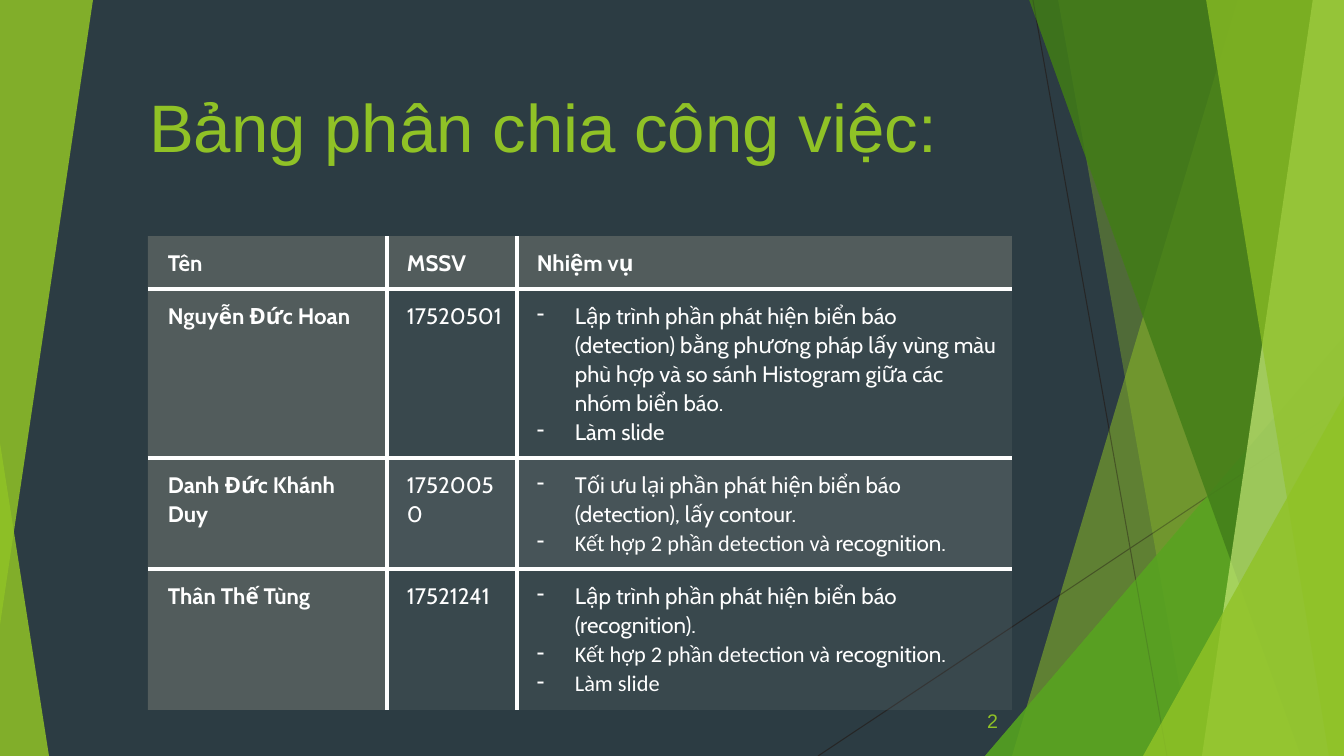
import pptx
import pptx.dml.color
import pptx.enum.shapes
import pptx.enum.text
import pptx.oxml
import pptx.oxml.ns
import pptx.oxml.xmlchemy
import pptx.util
from lxml import etree

EMU_PER_PIXEL = 12192000 / 1344
WIDTH, HEIGHT = 1344, 756
LIME, GREEN, FOREST, PALE = "90C226", "54A021", "3F7819", "C0E474"
WHITE, SLATE, HEADING, BODY, LINE = "FFFFFF", "2C3C43", "636B68", "878E8B", "262626"
ALIGN = pptx.enum.text.PP_ALIGN
ANCHOR = pptx.enum.text.MSO_ANCHOR

# Facets of the right-hand decoration, from back to front
FACETS = [
    ("sheet", (1238, 1012), LIME, 30),
    ("sheet", (1058, 1192), LIME, 20),
    ("triangle", (985, 336, 359, 420), GREEN, 72),
    ("sheet", (1029, 1301), FOREST, 70),
    ("sheet", (1313, 1202), PALE, 70),
    ("sheet", (1206, 1329), LIME, 65),
    ("triangle", (1143, 396, 201, 360), LIME, 80),
]

COMBINE = [("Kết hợp 2 phần detection và ", "Calibri"), ("recognition.", "Cabin")]
HEADERS = ["Tên", "MSSV", "Nhiệm vụ"]
MEMBERS = [
    ("Nguyễn Đức Hoan", "17520501", [
        "Lập trình phần phát hiện biển báo (detection) bằng phương pháp lấy vùng màu "
        "phù hợp và so sánh Histogram giữa các nhóm biển báo.",
        "Làm slide"]),
    ("Danh Đức Khánh Duy", "17520050", [
        "Tối ưu lại phần phát hiện biển báo (detection), lấy contour.",
        COMBINE]),
    ("Thân Thế Tùng", "17521241", [
        "Lập trình phần phát hiện biển báo (recognition).",
        COMBINE,
        [("Làm slide", "Calibri")]]),
]
COLUMN_WIDTHS = [239, 130, 495]
ROW_HEIGHTS = [53, 169, 111, 140]


def px(pixels):
    """Turn pixels into EMU."""
    return pptx.util.Emu(round(pixels * EMU_PER_PIXEL))


def rgb(color):
    """Turn a hex string into a colour."""
    return pptx.dml.color.RGBColor.from_string(color)


def add_element(parent, tag, **attributes):
    """Append a drawing element to the parent."""
    return etree.SubElement(parent, pptx.oxml.ns.qn(tag), **attributes)


def paint(fill, properties, color, opacity):
    """Give a shape or cell a solid fill with an opacity in percent."""
    fill.solid()
    fill.fore_color.rgb = rgb(color)
    solid = properties.find(pptx.oxml.ns.qn("a:solidFill"))
    add_element(solid[0], "a:alpha", val=str(opacity * 1000))


def finish_facet(shape, color, opacity):
    """Format a facet without line or shadow."""
    shape.shadow.inherit = False
    shape.line.fill.background()
    paint(shape.fill, shape._element.spPr, color, opacity)


def add_sheet(shapes, edge, color, opacity):
    """Add a sheet from a slanted left edge to the right slide edge."""
    top, bottom = edge
    builder = shapes.build_freeform(px(top), px(-1))
    corners = [(WIDTH, -1), (WIDTH, HEIGHT), (bottom, HEIGHT)]
    builder.add_line_segments([(px(x), px(y)) for x, y in corners], close=True)
    finish_facet(builder.convert_to_shape(), color, opacity)


def add_triangle(shapes, box, color, opacity, apex=1, rotation=0):
    """Add a triangle whose apex lies at a fraction of its width."""
    kind = pptx.enum.shapes.MSO_SHAPE.ISOSCELES_TRIANGLE
    triangle = shapes.add_shape(kind, *map(px, box))
    triangle.adjustments[0] = apex
    triangle.rotation = rotation
    finish_facet(triangle, color, opacity)


def add_line(shapes, *ends):
    """Add a thin dark line."""
    kind = pptx.enum.shapes.MSO_CONNECTOR.STRAIGHT
    line = shapes.add_connector(kind, *map(px, ends))
    line.line.color.rgb = rgb(LINE)
    line.line.width = pptx.util.Pt(0.75)
    add_element(line._element.spPr, "a:effectLst")


def add_facets(shapes):
    """Add all facets of the right-hand decoration."""
    builders = {"sheet": add_sheet, "triangle": add_triangle}
    for kind, place, color, opacity in FACETS:
        builders[kind](shapes, place, color, opacity)


def add_decoration(slide):
    """Add the two overlaid layers of facets."""
    back = slide.shapes.add_group_shape().shapes
    add_facets(back)
    add_triangle(back, (0, 443, 49, 313), LIME, 85, apex=0)
    front = slide.shapes.add_group_shape().shapes
    add_line(front, 1033, 0, 1167, HEIGHT)
    add_line(front, WIDTH, 406, 818, HEIGHT)
    add_facets(front)
    add_triangle(front, (0, 0, 93, 625), LIME, 85, rotation=180)


def write_text(frame, items, size=16, font="Cabin", color=WHITE, bold=False,
               align=ALIGN.LEFT, spacing=None, bullet=None):
    """Write each item, a string or a list of (text, font), as a paragraph."""
    frame.word_wrap = True
    for index, item in enumerate(items):
        paragraph = frame.add_paragraph() if index else frame.paragraphs[0]
        paragraph.alignment = align
        paragraph.line_spacing = spacing
        if bullet:
            properties = paragraph._p.get_or_add_pPr()
            properties.set("marL", str(px(38)))
            properties.set("indent", str(px(-38)))
            add_element(properties, "a:buChar", char=bullet)
        for text, name in [(item, font)] if isinstance(item, str) else item:
            run = paragraph.add_run()
            run.text = text
            run.font.name = name
            run.font.size = pptx.util.Pt(size)
            run.font.bold = bold
            run.font.color.rgb = rgb(color)


def add_title(slide, text):
    """Fill the title placeholder and bring it to the front."""
    title = slide.shapes.title
    title.left, title.top, title.width, title.height = map(px, (139, 51, 846, 120))
    slide.shapes._spTree.append(title._element)
    title.text_frame.auto_size = pptx.enum.text.MSO_AUTO_SIZE.NONE
    title.text_frame.vertical_anchor = ANCHOR.BOTTOM
    write_text(title.text_frame, [text], size=48, font="Arial", color=LIME)


def set_borders(cell, inner_sides):
    """Draw white borders on inner sides and none on the others."""
    properties = cell._tc.get_or_add_tcPr()
    for side in "LRTB":
        border = add_element(properties, "a:ln" + side, w=str(pptx.util.Pt(3)))
        if side in inner_sides:
            add_element(add_element(border, "a:solidFill"), "a:srgbClr", val=WHITE)
        else:
            add_element(border, "a:noFill")


def add_task_table(slide):
    """Add the table of members and their tasks."""
    rows = [[[text] for text in HEADERS]]
    rows += [[[name], [number], tasks] for name, number, tasks in MEMBERS]
    last_row, last_column = len(rows) - 1, len(HEADERS) - 1
    frame = slide.shapes.add_table(len(rows), len(HEADERS), px(148), px(236),
                                   px(sum(COLUMN_WIDTHS)), px(sum(ROW_HEIGHTS)))
    table = frame.table
    table.first_row = table.horz_banding = False
    for column, width in zip(table.columns, COLUMN_WIDTHS):
        column.width = px(width)
    for r, (row, height) in enumerate(zip(rows, ROW_HEIGHTS)):
        table.rows[r].height = px(height)
        for c, items in enumerate(row):
            cell = table.cell(r, c)
            heading = r == 0 or c == 0
            cell.margin_left = px(20)
            cell.margin_right = cell.margin_top = cell.margin_bottom = px(12)
            inner = {"L": c > 0, "R": c < last_column, "T": r > 0, "B": r < last_row}
            set_borders(cell, [side for side in inner if inner[side]])
            color, opacity = (HEADING, 70) if heading else (BODY, 15 if r % 2 else 30)
            paint(cell.fill, cell._tc.tcPr, color, opacity)
            write_text(cell.text_frame, items, bold=heading, spacing=1.07,
                       bullet="-" if r and c == last_column else None)


def add_page_number(slide, text):
    """Add the page number at the bottom right."""
    box = slide.shapes.add_textbox(*map(px, (932, 701, 76, 40)))
    box.text_frame.vertical_anchor = ANCHOR.MIDDLE
    write_text(box.text_frame, [text], size=14, font="Arial", color=LIME, align=ALIGN.RIGHT)


def main():
    """Build and save the slide."""
    presentation = pptx.Presentation()
    presentation.slide_width, presentation.slide_height = px(WIDTH), px(HEIGHT)
    slide = presentation.slides.add_slide(presentation.slide_layouts[5])
    slide.background.fill.solid()
    slide.background.fill.fore_color.rgb = rgb(SLATE)
    add_decoration(slide)
    add_title(slide, "Bảng phân chia công việc:")
    add_task_table(slide)
    add_page_number(slide, "2")
    presentation.save("out.pptx")


main()
